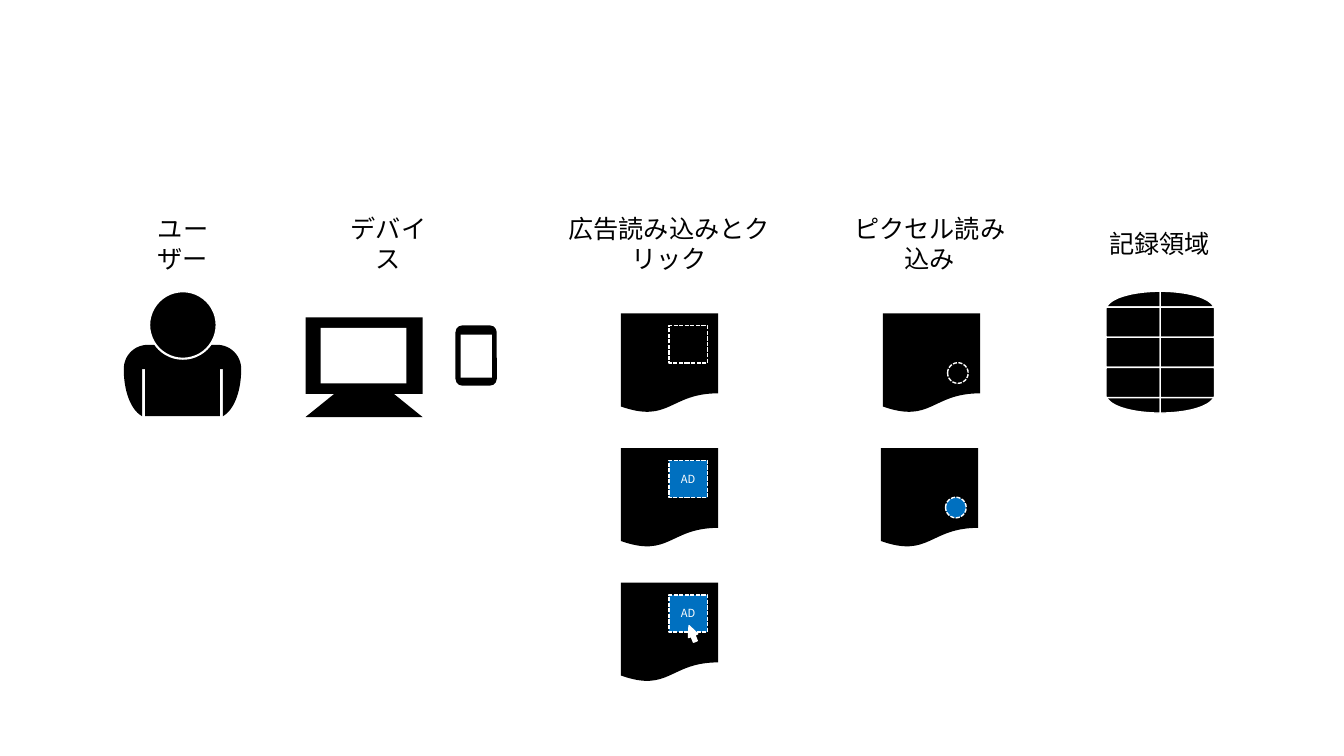
from itertools import product

from lxml.etree import SubElement
from pptx import Presentation
from pptx.dml.color import RGBColor
from pptx.enum.dml import MSO_LINE
from pptx.enum.shapes import MSO_SHAPE
from pptx.enum.text import MSO_ANCHOR, PP_ALIGN
from pptx.oxml.ns import qn
from pptx.util import Cm, Pt

FONT = "Noto Sans CJK JP"
BLACK, WHITE, BLUE = "000000", "FFFFFF", "0070C0"
PAGE_TOP, PAGE_PITCH = 7.9, 3.39


def rgb(color):
    return RGBColor.from_string(color)


def paint(s, fill, line_width=0, dashed=False):
    """Fill a shape and give it a white outline, or none."""
    s.shadow.inherit = False
    s.fill.solid()
    s.fill.fore_color.rgb = rgb(fill)
    if line_width:
        s.line.color.rgb = rgb(WHITE)
        s.line.width = Pt(line_width)
        if dashed:
            s.line.dash_style = MSO_LINE.SQUARE_DOT
    else:
        s.line.fill.background()
    return s


def add_preset(shapes, kind, x, y, w, h, fill=BLACK, line_width=0, dashed=False):
    s = shapes.add_shape(kind, Cm(x), Cm(y), Cm(w), Cm(h))
    return paint(s, fill, line_width, dashed)


def add_outline(shapes, points, line_width=0):
    points = [(Cm(x), Cm(y)) for x, y in points]
    builder = shapes.build_freeform(*points[0], scale=1.0)
    builder.add_line_segments(points[1:], close=True)
    return paint(builder.convert_to_shape(), BLACK, line_width)


def curve(p0, p1, p2, p3, steps=16):
    """Points along a cubic Bezier curve."""
    def at(t, axis):
        u = 1 - t
        return (u**3 * p0[axis] + 3 * u * u * t * p1[axis]
                + 3 * u * t * t * p2[axis] + t**3 * p3[axis])
    return [(at(i / steps, 0), at(i / steps, 1)) for i in range(steps + 1)]


def write(s, text, size, color):
    tf = s.text_frame
    tf.word_wrap = True
    tf.vertical_anchor = MSO_ANCHOR.MIDDLE
    p = tf.paragraphs[0]
    p.text = text
    p.alignment = PP_ALIGN.CENTER
    p.font.size = Pt(size)
    p.font.name = FONT
    p.font.color.rgb = rgb(color)
    # East Asian typeface, for the Japanese text
    SubElement(p.font._element, qn("a:ea"), typeface=FONT)


def add_heading(shapes, text, x, w):
    s = shapes.add_textbox(Cm(x), Cm(5.62), Cm(w), Cm(1.02))
    write(s, text, 18, BLACK)


def add_user(shapes):
    shapes = shapes.add_group_shape().shapes
    center, half, top, chest = 4.6, 1.48, 8.69, 9.3
    shoulder = curve((0.87, top), (1.21, top), (half, 8.96), (half, chest))
    mirrored = [(-x, y) for x, y in reversed(shoulder)]
    add_outline(shapes, [(center + x, y) for x, y in mirrored + shoulder])
    add_preset(shapes, MSO_SHAPE.RECTANGLE, 3.66, chest, 1.88, 1.19)
    arm = [(1.02, chest), (1.02, 10.49)]
    arm += curve((1.09, 10.44), (1.32, 10.26), (half, 9.83), (half, chest))
    for side in (-1, 1):
        add_outline(shapes, [(center + side * x, y) for x, y in arm])
    add_preset(shapes, MSO_SHAPE.OVAL, 3.76, 7.34, 1.7, 1.7, line_width=1.5)


def add_devices(shapes):
    monitor = shapes.add_group_shape().shapes
    add_preset(monitor, MSO_SHAPE.ISOSCELES_TRIANGLE, 7.7, 9.32, 2.95, 1.19)
    add_preset(monitor, MSO_SHAPE.RECTANGLE, 7.7, 8, 2.95, 1.93)
    add_preset(monitor, MSO_SHAPE.RECTANGLE, 8.08, 8.26, 2.16, 1.4, WHITE)
    phone = shapes.add_group_shape().shapes
    add_preset(phone, MSO_SHAPE.ROUNDED_RECTANGLE, 11.48, 8.2, 1.04, 1.52)
    add_preset(phone, MSO_SHAPE.RECTANGLE, 11.61, 8.43, 0.79, 1.09, WHITE)


def add_page(shapes, x, row):
    """Draw a page in the given row and return its top."""
    y = PAGE_TOP + row * PAGE_PITCH
    add_preset(shapes, MSO_SHAPE.FLOWCHART_DOCUMENT, x, y, 2.45, 2.51)
    return y


def add_ad_page(shapes, row, loaded):
    x = 15.65
    y = add_page(shapes, x, row)
    slot = add_preset(shapes, MSO_SHAPE.RECTANGLE, x + 1.21, y + 0.31, 0.97, 0.94,
                      BLUE if loaded else BLACK, 1, True)
    if loaded:
        tf = slot.text_frame
        tf.margin_left = tf.margin_right = 0
        write(slot, "AD", 8, WHITE)


def add_pixel_page(shapes, x, row, fill):
    y = add_page(shapes, x, row)
    add_preset(shapes, MSO_SHAPE.OVAL, x + 1.63, y + 1.24, 0.52, 0.52, fill, 1, True)


def add_cursor(shapes):
    s = add_preset(shapes, MSO_SHAPE.UP_ARROW, 17.32, 15.75, 0.25, 0.43, WHITE, 1)
    s.adjustments[0], s.adjustments[1] = 0.413, 1.098
    s.rotation = 338.2


def add_storage(shapes):
    shapes = shapes.add_group_shape().shapes
    center, top, bottom = 29.24, 7.34, 10.41
    cap_height, cell_height = 0.4, 0.76
    cap = curve((0, 0), (0.66, 0), (1.2, 0.15), (1.33, 0.36))
    cap += [(1.35, cap_height), (0, cap_height)]
    cell = [(0, 0), (1.35, 0), (1.37, 0.03), (1.37, 0.73),
            (1.35, cell_height), (0, cell_height)]
    # Rounded caps, then three rows of cells, each in two halves
    for side, (edge, down) in product((-1, 1), ((top, 1), (bottom, -1))):
        add_outline(shapes, [(center + side * x, edge + down * y) for x, y in cap], 1)
    for row, side in product(range(3), (-1, 1)):
        y0 = top + cap_height + row * cell_height
        add_outline(shapes, [(center + side * x, y0 + y) for x, y in cell], 1)


def main():
    prs = Presentation()
    prs.slide_width, prs.slide_height = Cm(33.87), Cm(19.05)
    shapes = prs.slides.add_slide(prs.slide_layouts[6]).shapes

    # Icons
    add_user(shapes)
    add_devices(shapes)
    for row, loaded in enumerate((False, True, True)):
        add_ad_page(shapes, row, loaded)
    add_cursor(shapes)
    add_pixel_page(shapes, 22.25, 0, BLACK)
    add_pixel_page(shapes, 22.2, 1, BLUE)
    add_storage(shapes)

    # Column headings
    for text, x, w in (("ユーザー", 3.3, 2.62), ("デバイス", 8.51, 2.54),
                       ("広告読み込みとクリック", 13.74, 6.25),
                       ("ピクセル読み込み", 20.98, 4.9), ("記録領域", 27.69, 3.07)):
        add_heading(shapes, text, x, w)

    prs.save("out.pptx")


main()
